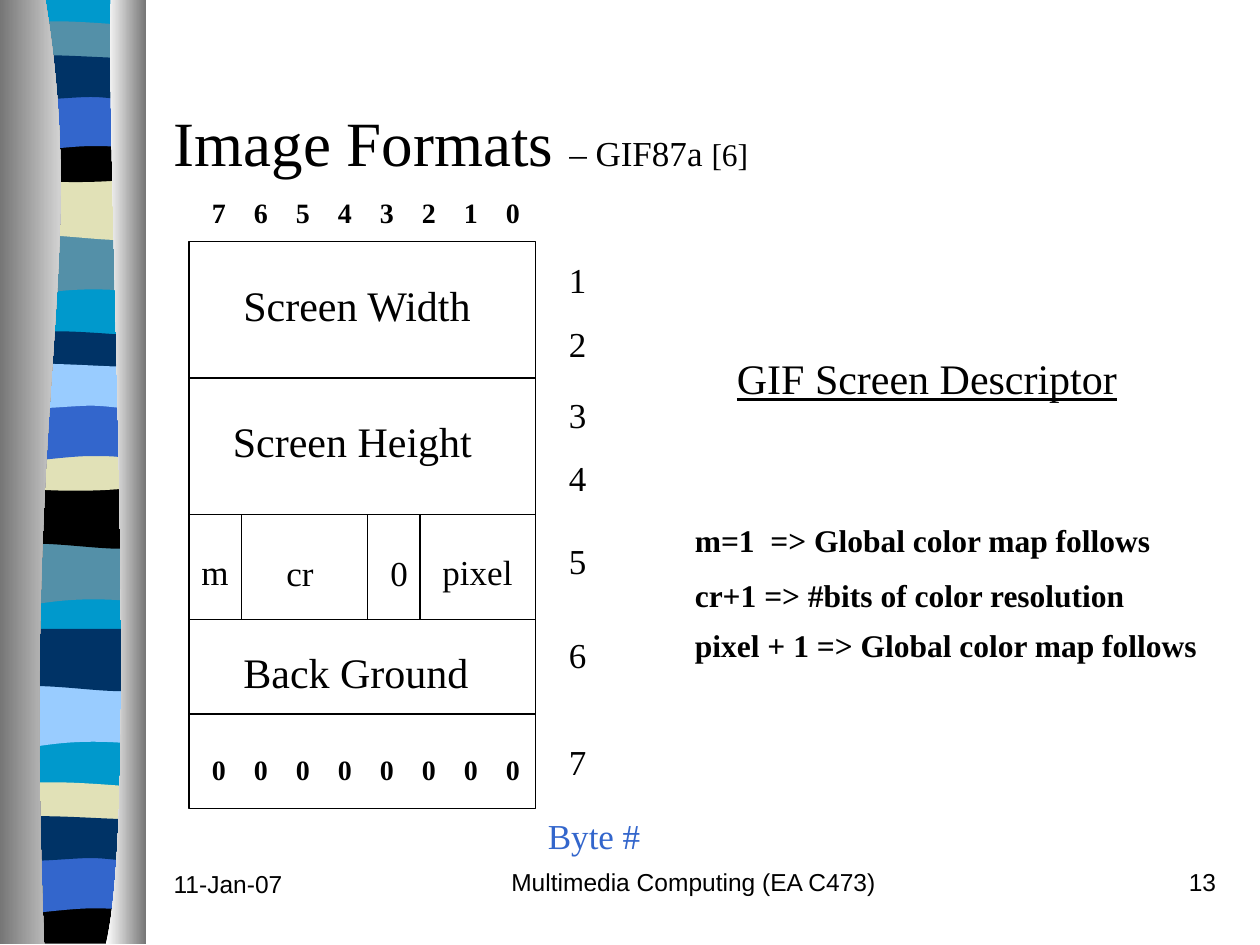
from dataclasses import dataclass

from lxml.etree import SubElement
from pptx import Presentation
from pptx.dml.color import RGBColor
from pptx.enum.shapes import MSO_CONNECTOR, MSO_SHAPE
from pptx.enum.text import MSO_ANCHOR, MSO_AUTO_SIZE, PP_ALIGN
from pptx.oxml.ns import qn
from pptx.shapes.shapetree import SlideShapes
from pptx.util import Inches, Pt


@dataclass(frozen=True)
class Theme:
    serif: str = "Times New Roman"
    sans: str = "Arial"
    black: str = "000000"
    blue: str = "3366CC"
    cyan: str = "0099CC"
    teal: str = "5490A8"
    sand: str = "E1E1B7"
    navy: str = "003366"
    sky: str = "99CCFF"
    white: str = "FFFFFF"
    grey: str = "767676"
    title: int = 36
    field: int = 24
    label: int = 20
    note: int = 18
    bits: int = 16
    footer: int = 14


T = Theme()
BAND_LEFT, BAND_WIDTH = 0.06, 1.08
GRID = 1 / 12
LEFT, RIGHT, TOP, BOTTOM = 18 * GRID, 51 * GRID, 23 * GRID, 77 * GRID
NOTE_LEFT = 65 * GRID
BIT_PITCH = 1 / 3

# Band outlines start at the top right; pairs are lines, sixes are Bezier curves.
BOWL_TOP = [(0, 0), (0.66, 0.05, 0.85, 0, 1.08, 0)]
BANDS = {
    "dip": [(1.08, 0.47), (0.33, 0.39, 0.18, 0.55, 0, 0.47), (0, 0), (1.08, 0)],
    "swell": [(1.08, 0.47), (0.9, 0.55, 0.33, 0.41, 0, 0.47), (0, 0), (1.08, 0)],
    "thin": [(1.08, 0.24), (0.9, 0.28, 0.18, 0.28, 0, 0.24), (0, 0),
             (0.06, -0.05, 0.23, -0.04, 0.41, -0.04),
             (0.59, -0.04, 0.94, -0.01, 1.08, 0)],
    "bowl": [(1.08, 0.32), (0.9, 0.38, 0.18, 0.38, 0, 0.32), *BOWL_TOP],
    "base": [(1.08, 0.37), (0, 0.37), *BOWL_TOP],
    "arch": [(1.08, 0.47), (0.91, 0.42, 0.84, 0.42, 0.66, 0.42),
             (0.48, 0.42, 0.16, 0.47, 0, 0.47), (0, 0), (1.08, 0)],
    "ripple": [(1.08, 0.31), (1.01, 0.36, 0.84, 0.31, 0.66, 0.31),
               (0.48, 0.31, 0.11, 0.36, 0, 0.31), (0, 0),
               (0.15, -0.05, 0.73, 0, 0.91, 0), (1.09, 0, 1.04, 0, 1.08, 0)],
}
BAND_GROUPS = [
    [("dip", 1.85, T.teal), ("swell", 1.41, T.sand), ("thin", 0.21, T.teal),
     ("bowl", 1.08, T.black), ("arch", 0.74, T.blue), ("ripple", 0.46, T.navy)],
    [("dip", 4.31, T.teal), ("swell", 3.86, T.black), ("thin", 2.67, T.navy),
     ("bowl", 3.53, T.sand), ("arch", 3.2, T.blue), ("ripple", 2.91, T.sky)],
    [("dip", 5.44, T.sky), ("swell", 4.99, T.navy), ("thin", 6.25, T.sand),
     ("base", 7.12, T.black), ("arch", 6.79, T.blue), ("ripple", 6.5, T.navy)],
]


def rgb(color):
    return RGBColor.from_string(color)


def bend(sp, segments):
    """Merge the three lines that stand for each curve into one Bezier curve."""
    lines = iter(list(sp._element.iter(qn("a:lnTo"))))
    for seg in segments:
        first = next(lines)
        if len(seg) == 6:
            first.tag = qn("a:cubicBezTo")
            for _ in range(2):
                line = next(lines)
                first.append(line[0])
                line.getparent().remove(line)


def add_outline(shapes, left, top, start, segments, *colors):
    """Draw a closed outline; two colours make a left-to-right gradient."""
    def place(x, y):
        return Inches(left + x), Inches(top + y)

    points = [place(*seg[i:i + 2]) for seg in segments for i in range(0, len(seg), 2)]
    builder = shapes.build_freeform(*place(*start), scale=1.0)
    builder.add_line_segments(points)
    sp = builder.convert_to_shape()
    bend(sp, segments)
    sp.shadow.inherit = False
    sp.line.fill.background()
    if len(colors) == 1:
        sp.fill.solid()
        sp.fill.fore_color.rgb = rgb(colors[0])
    else:
        sp.fill.gradient()
        sp.fill.gradient_angle = 0
        for stop, color in zip(sp.fill.gradient_stops, colors):
            stop.color.rgb = rgb(color)


def add_ribbon(master):
    """Put the decorative ribbon on the slide master as one group."""
    shapes = SlideShapes(master.shapes._spTree, master).add_group_shape().shapes
    add_outline(shapes, BAND_LEFT, 0, (BAND_WIDTH, 0),
                [(BAND_WIDTH, 7.47), (0, 7.47), (0, 0), (BAND_WIDTH, 0)], T.cyan)
    for group in BAND_GROUPS:
        for kind, top, color in group:
            add_outline(shapes, BAND_LEFT, top, (BAND_WIDTH, 0), BANDS[kind], color)
    add_outline(shapes, 0, 0, (0.36, 0),
                [(0.71, 2.16, 0.17, 2.96, 0.35, 7.49), (0, 7.49), (0, 0), (0.36, 0)],
                T.grey, T.white)
    add_outline(shapes, 0, 0, (0.88, 0),
                [(0.84, 1.25, 1.11, 6.46, 0.84, 7.49), (1.16, 7.49), (1.16, 0), (0.88, 0)],
                T.white, T.grey)


def add_text(s, text, left, top, width, height, size, color=T.black, font=T.serif,
             align=PP_ALIGN.LEFT, bold=False, underline=False, tab_pitch=None):
    tf = s.shapes.add_textbox(Inches(left), Inches(top),
                              Inches(width), Inches(height)).text_frame
    tf.word_wrap = True
    for i, line in enumerate(text.split("\n")):
        p = tf.paragraphs[0] if i == 0 else tf.add_paragraph()
        p.text = line
        p.alignment = align
        if i:
            p.space_before = Pt(size * 0.625)
        if tab_pitch:
            tabs = SubElement(p._p.get_or_add_pPr(), qn("a:tabLst"))
            for n in range(1, line.count("\t") + 1):
                SubElement(tabs, qn("a:tab"), pos=str(Inches(n * tab_pitch)), algn="l")
        p.font.name, p.font.size = font, Pt(size)
        p.font.bold, p.font.underline = bold, underline
        p.font.color.rgb = rgb(color)


def add_line(s, x1, y1, x2, y2):
    line = s.shapes.add_connector(MSO_CONNECTOR.STRAIGHT, Inches(x1), Inches(y1),
                                  Inches(x2), Inches(y2))
    line.line.color.rgb = rgb(T.black)
    line.line.width = Pt(0.75)
    SubElement(line._element.spPr, qn("a:effectLst"))


def add_title(s):
    title = s.shapes.title
    title.left, title.top = Inches(1.28), Inches(0.5)
    title.width, title.height = Inches(8.5), Inches(1.25)
    tf = title.text_frame
    tf.auto_size = MSO_AUTO_SIZE.NONE
    tf.vertical_anchor = MSO_ANCHOR.MIDDLE
    p = tf.paragraphs[0]
    p.alignment = PP_ALIGN.LEFT
    p.font.name = T.serif
    p.font.color.rgb = rgb(T.black)
    for text, size in [("Image Formats ", T.title), ("– GIF87a ", T.label),
                       ("[6]", T.note)]:
        r = p.add_run()
        r.text = text
        r.font.size = Pt(size)


def add_descriptor_frame(s):
    frame = s.shapes.add_shape(MSO_SHAPE.RECTANGLE, Inches(LEFT), Inches(TOP),
                               Inches(RIGHT - LEFT), Inches(BOTTOM - TOP))
    frame.shadow.inherit = False
    frame.fill.background()
    frame.line.color.rgb = rgb(T.black)
    frame.line.width = Pt(0.75)
    for row in (36, 49, 59, 68):
        add_line(s, LEFT, row * GRID, RIGHT, row * GRID)
    for column in (23, 35, 40):
        add_line(s, column * GRID, 49 * GRID, column * GRID, 59 * GRID)


def add_descriptor_text(s):
    for digits, top in [("76543210", 1.5), ("00000000", 5.92)]:
        add_text(s, "\t".join(digits), 19 * GRID, top, 2.67, 0.37, T.bits,
                 bold=True, tab_pitch=BIT_PITCH)
    for name, left, top in [("Screen Width", 22 * GRID, 2.17), ("Screen Height", 1.75, 3.25),
                            ("Back Ground", 22 * GRID, 5.08)]:
        add_text(s, name, left, top, 2.25, 0.5, T.field)
    for name, left, top, width, align in [
            ("m", 1.5, 4.32, 0.42, PP_ALIGN.LEFT), ("cr", 1.92, 4.33, 0.92, PP_ALIGN.CENTER),
            ("0", 3, 4.33, 0.42, PP_ALIGN.LEFT), ("pixel", 3.33, 4.32, 0.92, PP_ALIGN.CENTER)]:
        add_text(s, name, left, top, width, 0.44, T.label, align=align)
    for number, top, height in [("1\n2", 2, 0.94), ("3\n4", 3.07, 0.94), ("5", 4.23, 0.44),
                                ("6", 4.98, 0.44), ("7", 5.83, 0.44)]:
        add_text(s, number, 53 * GRID, top, 0.33, height, T.label)
    add_text(s, "Byte #", RIGHT, BOTTOM, 1, 0.44, T.label, T.blue)


def add_notes_column(s):
    add_text(s, "GIF Screen Descriptor", 5.75, 2.75, 3.5, 0.5, T.field, underline=True)
    for text, top, width in [("m=1  => Global color map follows", 49 * GRID, 4),
                             ("cr+1 => #bits of color resolution", 4.52, 4),
                             ("pixel + 1 => Global color map follows", 59 * GRID, 4.25)]:
        add_text(s, text, NOTE_LEFT, top, width, 0.4, T.note, bold=True)


def add_footer(s):
    for text, left, top, width, align in [
            ("11-Jan-07", 1.28, 6.85, 2.08, PP_ALIGN.LEFT),
            ("Multimedia Computing (EA C473)", 3.92, 6.83, 3.17, PP_ALIGN.CENTER),
            ("13", 7.67, 6.83, 2.08, PP_ALIGN.RIGHT)]:
        add_text(s, text, left, top, width, 0.5, T.footer, font=T.sans, align=align)


def main():
    prs = Presentation()
    prs.slide_width, prs.slide_height = Inches(10), Inches(7.5)
    add_ribbon(prs.slide_master)
    s = prs.slides.add_slide(prs.slide_layouts[5])
    add_title(s)
    add_descriptor_frame(s)
    add_descriptor_text(s)
    add_notes_column(s)
    add_footer(s)
    prs.save("out.pptx")


if __name__ == "__main__":
    main()
